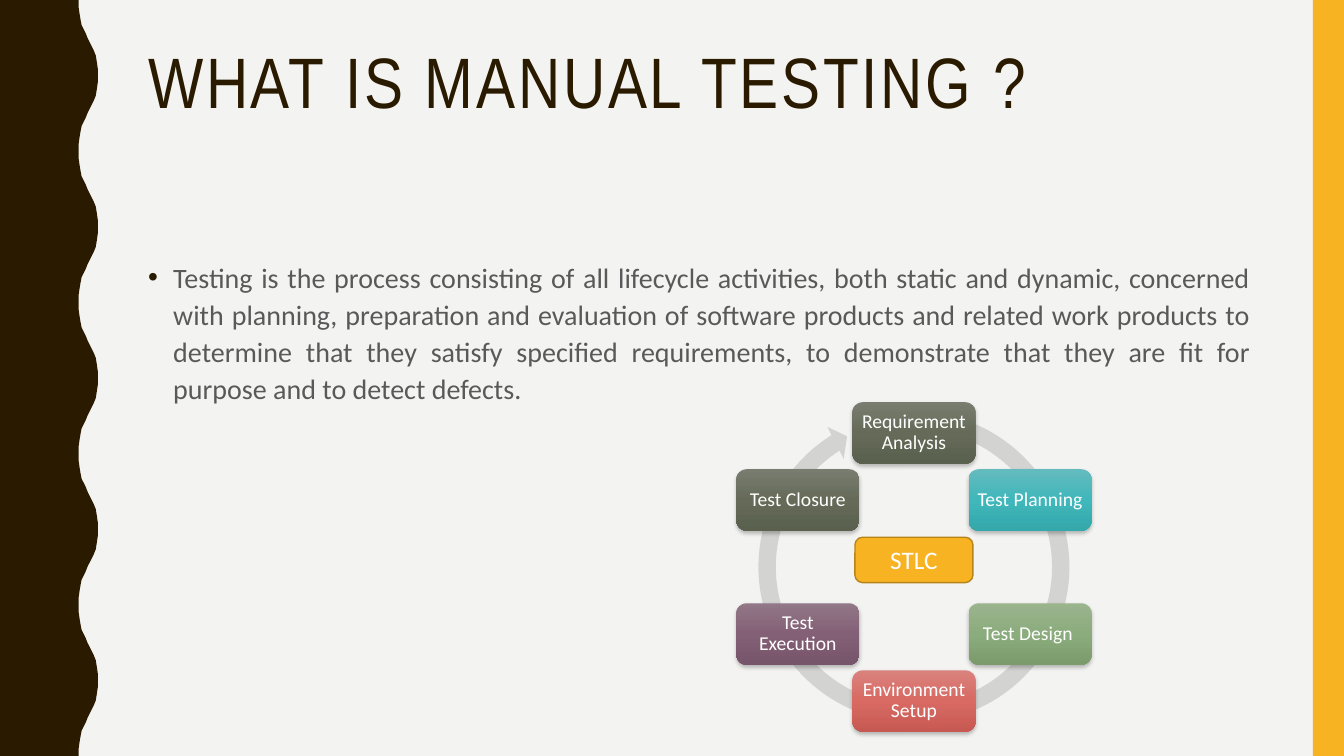
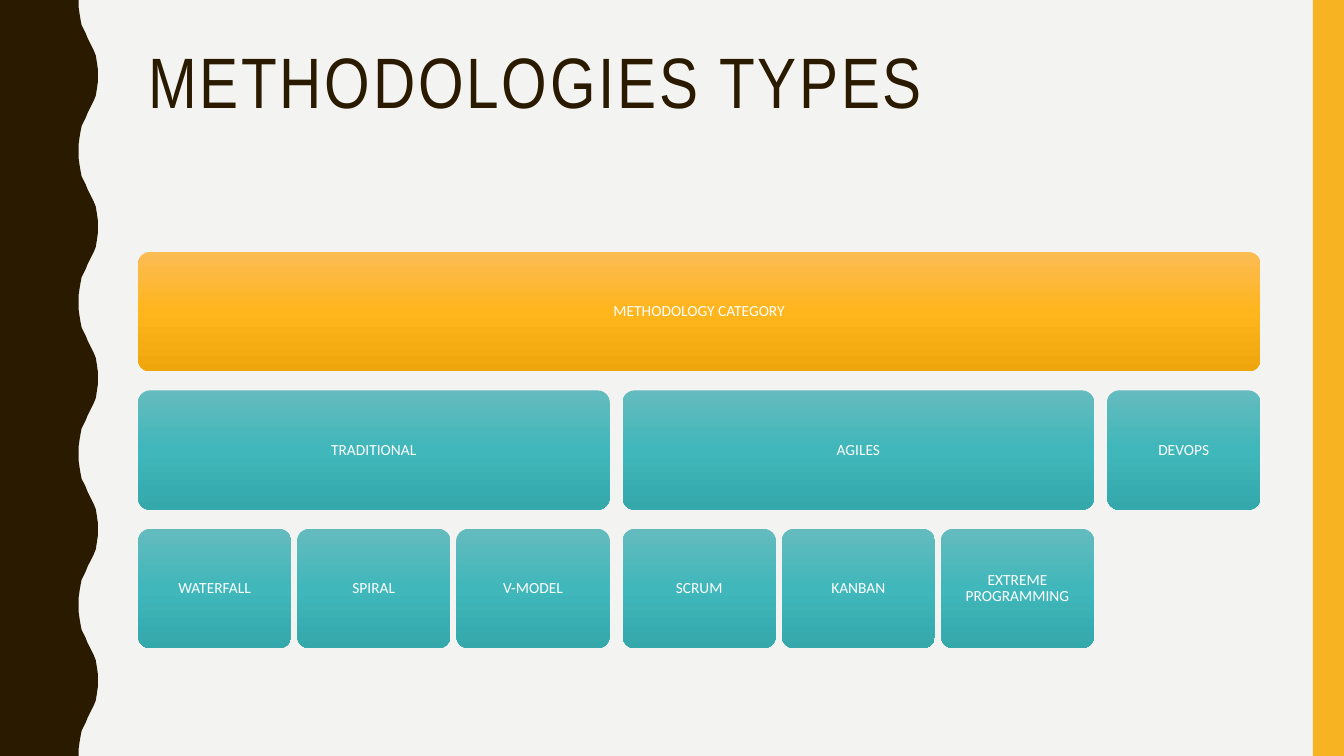
import copy
import math

import pptx
import pptx.dml.color
import pptx.enum.shapes
import pptx.enum.text
import pptx.oxml
import pptx.oxml.ns
import pptx.util

Inches = pptx.util.Inches
Pt = pptx.util.Pt
qn = pptx.oxml.ns.qn
SHAPES = pptx.enum.shapes.MSO_SHAPE
ALIGN = pptx.enum.text.PP_ALIGN
ANCHOR = pptx.enum.text.MSO_ANCHOR

WIDTH, HEIGHT = 13.33, 7.5
COLORS = {
    "background": "F3F3F2", "dark": "2A1A00", "accent": "F8B323",
    "accent_line": "B7841A", "body": "595959", "ring": "D3D4D1", "white": "FFFFFF",
}
# Top, middle and bottom colour of each gradient
GRADIENTS = {
    "olive": ("797D70", "656B58", "5A604E"),
    "teal": ("64BBBE", "40B7BB", "34A8AB"),
    "green": ("9AB48E", "8BAC7C", "7B9B6C"),
    "red": ("D9827D", "D86A63", "C65952"),
    "purple": ("917787", "846076", "76546A"),
    "amber": ("FBBC54", "FFB51C", "EFA60C"),
}
TITLE_FONT, BODY_FONT = "Arial Narrow", "Calibri"
TITLE_BOX = (1.37, 0.42, 11.13, 1.63)
CONTENT_BOX = (1.37, 2.5, 11.13, 3.93)

# Upper half of one wave of the left band; the lower half mirrors it
WAVE_PERIOD = 1.5
WAVE = [
    (0.78, 0), (0.78, 0.07), (0.79, 0.14), (0.8, 0.2), (0.81, 0.25),
    (0.83, 0.29), (0.85, 0.33), (0.87, 0.38), (0.89, 0.42), (0.91, 0.46),
    (0.93, 0.5), (0.95, 0.55), (0.96, 0.61), (0.97, 0.68), (0.97, 0.75),
]


def rgb(name):
    return pptx.dml.color.RGBColor.from_string(COLORS.get(name, name))


def inches(box):
    return [Inches(length) for length in box]


def fill_gradient(shape, colors):
    shape.fill.gradient()
    stop_list = shape.element.spPr.find(qn("a:gradFill")).find(qn("a:gsLst"))
    stop_list.append(copy.deepcopy(stop_list[0]))
    for stop, position, color in zip(shape.fill.gradient_stops, (0, 0.5, 1), colors):
        stop.position = position
        stop.color.rgb = rgb(color)
    shape.fill.gradient_angle = 270


def add_panel(slide, kind, box, fill, line=None):
    """Add a preset shape; fill names a colour or a gradient."""
    shape = slide.shapes.add_shape(kind, *inches(box))
    shape.shadow.inherit = False
    if fill in GRADIENTS:
        fill_gradient(shape, GRADIENTS[fill])
    else:
        shape.fill.solid()
        shape.fill.fore_color.rgb = rgb(fill)
    if line:
        shape.line.color.rgb = rgb(line)
        shape.line.width = Pt(1)
    else:
        shape.line.fill.background()
    return shape


def write(shape, text, size, color="white", font=BODY_FONT, align=ALIGN.CENTER,
          anchor=ANCHOR.MIDDLE, spacing=0.9, inset=None):
    frame = shape.text_frame
    frame.word_wrap = True
    frame.vertical_anchor = anchor
    if inset is not None:
        frame.margin_left = frame.margin_right = Inches(inset)
        frame.margin_top = frame.margin_bottom = Inches(inset)
    paragraph = frame.paragraphs[0]
    paragraph.text = text
    paragraph.alignment = align
    paragraph.line_spacing = spacing
    paragraph.font.size = Pt(size)
    paragraph.font.name = font
    paragraph.font.color.rgb = rgb(color)
    return paragraph


def add_bullet(paragraph, color, indent):
    properties = paragraph._p.get_or_add_pPr()
    properties.set("marL", str(Inches(indent)))
    properties.set("indent", str(-Inches(indent)))
    font_properties = properties.find(qn("a:defRPr"))
    namespace = pptx.oxml.ns.nsdecls("a")
    for xml in (
        f'<a:buClr {namespace}><a:srgbClr val="{COLORS[color]}"/></a:buClr>',
        f'<a:buFont {namespace} typeface="Arial"/>',
        f'<a:buChar {namespace} char="\u2022"/>',
    ):
        font_properties.addprevious(pptx.oxml.parse_xml(xml))


def add_soft_shadow(shape):
    effects = shape.element.spPr.find(qn("a:effectLst"))
    effects.append(pptx.oxml.parse_xml(
        f'<a:outerShdw {pptx.oxml.ns.nsdecls("a")} blurRad="{Pt(3)}" dist="{Pt(2)}" '
        'dir="5400000" rotWithShape="0"><a:srgbClr val="000000">'
        '<a:alpha val="25000"/></a:srgbClr></a:outerShdw>'))


def add_wavy_band(slide):
    mirrored = [(x, WAVE_PERIOD - y) for x, y in reversed(WAVE[:-1])]
    edge = [(x, y + wave * WAVE_PERIOD)
            for wave in range(round(HEIGHT / WAVE_PERIOD)) for x, y in WAVE + mirrored]
    builder = slide.shapes.build_freeform(0, 0)
    builder.add_line_segments([inches(point) for point in edge + [(0, HEIGHT)]])
    band = builder.convert_to_shape()
    band.shadow.inherit = False
    band.fill.solid()
    band.fill.fore_color.rgb = rgb("dark")
    band.line.fill.background()


def add_base_slide(presentation, title):
    """Add a slide with the background, both side bands and the title."""
    slide = presentation.slides.add_slide(presentation.slide_layouts[6])
    slide.background.fill.solid()
    slide.background.fill.fore_color.rgb = rgb("background")
    add_wavy_band(slide)
    add_panel(slide, SHAPES.RECTANGLE, (13.02, 0, 0.31, HEIGHT), "accent")
    title_box = slide.shapes.add_textbox(*inches(TITLE_BOX))
    paragraph = write(title_box, title, 51, "dark", TITLE_FONT, ALIGN.LEFT, ANCHOR.TOP)
    paragraph.runs[0]._r.get_or_add_rPr().set("spc", "200")
    return slide


def add_definition(slide, box, text):
    text_box = slide.shapes.add_textbox(*inches(box))
    paragraph = write(text_box, text, 20, "body", align=ALIGN.JUSTIFY,
                      anchor=ANCHOR.TOP, spacing=1.1)
    paragraph.space_before = Pt(7)
    add_bullet(paragraph, "dark", 0.25)


def add_cycle(slide, box, hub, steps):
    """Place the steps clockwise from the top of a circular arrow."""
    left, top, width, height = box
    ring = add_panel(slide, SHAPES.CIRCULAR_ARROW, box, "ring")
    for index, value in enumerate((0.05274, 3.1263, 142.62512, 171.06927, 0.05477)):
        ring.adjustments[index] = value

    center_x, center_y = left + width / 2, top + height / 2
    node_width, node_height = 1.22, 0.61
    radius = (height - node_height) / 2
    for index, (label, color) in enumerate(steps):
        angle = 2 * math.pi * index / len(steps)
        x = center_x + radius * math.sin(angle) - node_width / 2
        y = center_y - radius * math.cos(angle) - node_height / 2
        node = add_panel(slide, SHAPES.ROUNDED_RECTANGLE,
                         (x, y, node_width, node_height), color)
        add_soft_shadow(node)
        write(node, label, 14, inset=0.06)

    hub_width = 1.17
    hub_box = (center_x - hub_width / 2, top + 1.34, hub_width, 0.45)
    hub_shape = add_panel(slide, SHAPES.ROUNDED_RECTANGLE, hub_box, "accent", "accent_line")
    write(hub_shape, hub, 18, spacing=1)


def add_hierarchy(slide, box, root, groups):
    """Stack root, groups and leaves; each group spans its leaves."""
    left, top, width, height = box
    leaf_gap, group_gap, row_gap = 0.06, 0.13, 0.19
    spans = [max(len(leaves), 1) for _, leaves in groups]
    gaps = group_gap * (len(groups) - 1) + leaf_gap * (sum(spans) - len(groups))
    leaf_width = (width - gaps) / sum(spans)
    row_height = (height - 2 * row_gap) / 3

    def add_tile(label, x, row, tile_width, color="teal"):
        y = top + row * (row_height + row_gap)
        tile = add_panel(slide, SHAPES.ROUNDED_RECTANGLE,
                         (x, y, tile_width, row_height), color)
        tile.adjustments[0] = 0.1
        write(tile, label, 11, inset=0.05)

    add_tile(root, left, 0, width, "amber")
    x = left
    for (label, leaves), span in zip(groups, spans):
        group_width = span * leaf_width + (span - 1) * leaf_gap
        add_tile(label, x, 1, group_width)
        for index, leaf in enumerate(leaves):
            add_tile(leaf, x + index * (leaf_width + leaf_gap), 2, leaf_width)
        x += group_width + group_gap


def build_testing_slide(presentation):
    slide = add_base_slide(presentation, "WHAT IS MANUAL TESTING ?")
    add_definition(slide, CONTENT_BOX, (
        "Testing is the process consisting of all lifecycle activities, both static and "
        "dynamic, concerned with planning, preparation and evaluation of software products "
        "and related work products to determine that they satisfy specified requirements, "
        "to demonstrate that they are fit for purpose and to detect defects."))
    add_cycle(slide, (7.43, 3.99, 3.27, 3.27), "STLC", [
        ("Requirement Analysis", "olive"),
        ("Test Planning", "teal"),
        ("Test Design ", "green"),
        ("Environment Setup", "red"),
        ("Test Execution", "purple"),
        ("Test Closure", "olive"),
    ])


def build_methodologies_slide(presentation):
    slide = add_base_slide(presentation, "METHODOLOGIES TYPES")
    add_hierarchy(slide, CONTENT_BOX, "METHODOLOGY CATEGORY", [
        ("TRADITIONAL", ["WATERFALL", "SPIRAL", "V-MODEL"]),
        ("AGILES", ["SCRUM", "KANBAN", "EXTREME PROGRAMMING"]),
        ("DEVOPS", []),
    ])


presentation = pptx.Presentation()
presentation.slide_width = Inches(WIDTH)
presentation.slide_height = Inches(HEIGHT)
build_testing_slide(presentation)
build_methodologies_slide(presentation)
presentation.save("out.pptx")
